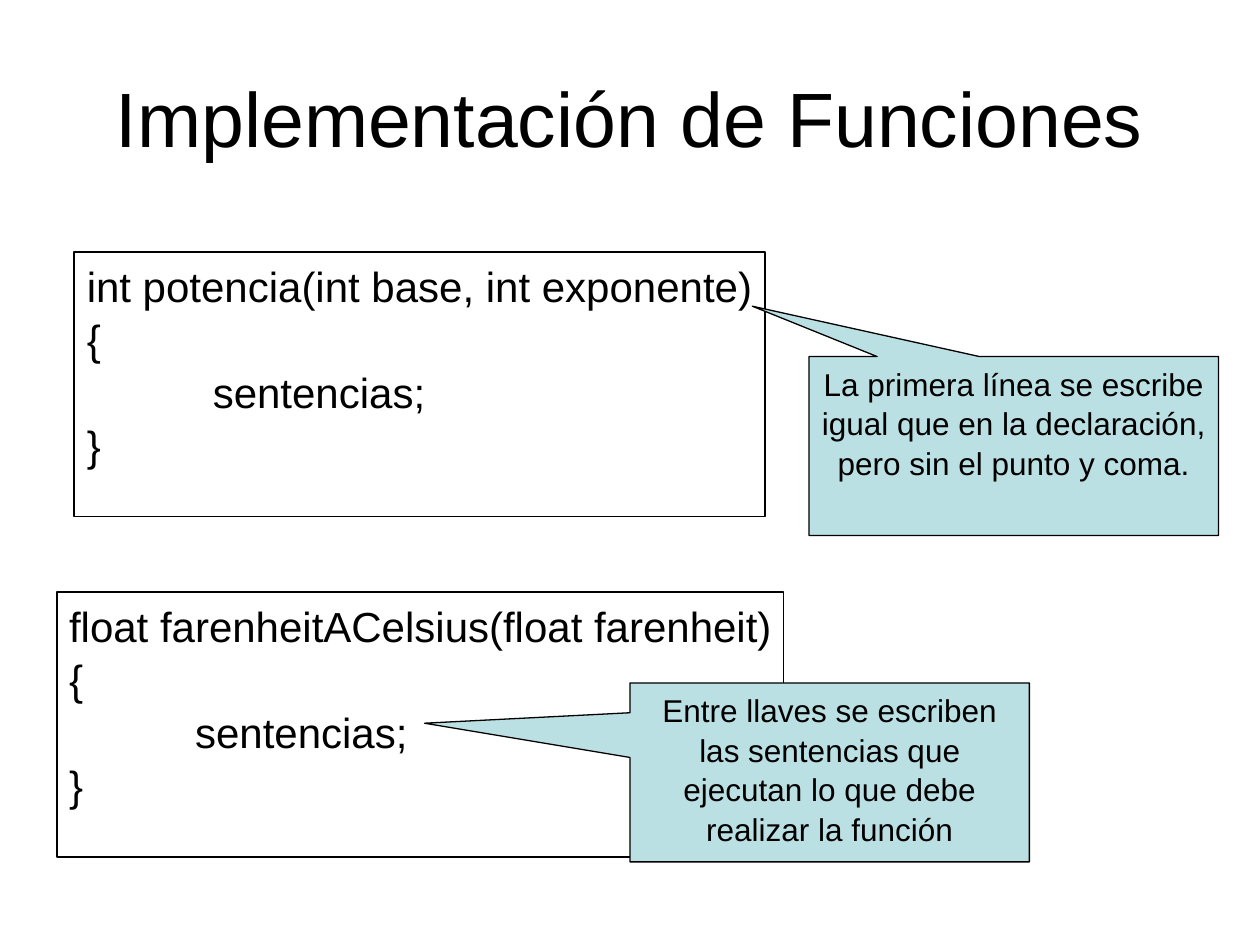
from lxml import etree
from pptx import Presentation
from pptx.dml.color import RGBColor
from pptx.enum import shapes, text
from pptx.oxml import ns
from pptx.util import Inches, Pt

COLORS = {"ink": "000000", "callout": "BBE0E3"}
FONT = "Arial"


def color(name):
    return RGBColor.from_string(COLORS[name])


def add_run(paragraph, wording, size):
    run = paragraph.add_run()
    run.text = wording
    run.font.name = FONT
    run.font.size = Pt(size)
    run.font.color.rgb = color("ink")


def add_tab_stop(paragraph, position):
    properties = paragraph._p.get_or_add_pPr()
    tabs = etree.SubElement(properties, ns.qn("a:tabLst"))
    etree.SubElement(tabs, ns.qn("a:tab"), pos=str(position), algn="l")


def add_box(slide, kind, box, line_width):
    """Add an outlined shape with top-anchored text."""
    shape = slide.shapes.add_shape(kind, *map(Inches, box))
    shape.shadow.inherit = False
    shape.line.color.rgb = color("ink")
    shape.line.width = Pt(line_width)
    shape.text_frame.vertical_anchor = text.MSO_ANCHOR.TOP
    return shape


def add_title(slide, box, wording):
    title = slide.shapes.title
    title.left, title.top, title.width, title.height = map(Inches, box)
    title.text_frame.vertical_anchor = text.MSO_ANCHOR.MIDDLE
    paragraph = title.text_frame.paragraphs[0]
    paragraph.alignment = text.PP_ALIGN.CENTER
    add_run(paragraph, wording, 44)


def add_code(slide, box, signature):
    shape = add_box(slide, shapes.MSO_SHAPE.RECTANGLE, box, 1)
    shape.fill.background()
    frame = shape.text_frame
    frame.word_wrap = False
    for index, line in enumerate((signature, "{", "\tsentencias;", "}")):
        paragraph = frame.add_paragraph() if index else frame.paragraphs[0]
        paragraph.alignment = text.PP_ALIGN.LEFT
        paragraph.line_spacing = 1.05
        add_tab_stop(paragraph, Inches(1))
        add_run(paragraph, line, 24)


def add_callout(slide, box, pointer, wording):
    shape = add_box(slide, shapes.MSO_SHAPE.RECTANGULAR_CALLOUT, box, 0.75)
    shape.fill.solid()
    shape.fill.fore_color.rgb = color("callout")
    # The pointer tip is measured from the centre, as a share of the box size
    left, top, width, height = box
    shape.adjustments[0] = (pointer[0] - left) / width - 0.5
    shape.adjustments[1] = (pointer[1] - top) / height - 0.5
    shape.text_frame.word_wrap = True
    paragraph = shape.text_frame.paragraphs[0]
    paragraph.alignment = text.PP_ALIGN.CENTER
    paragraph.line_spacing = 1.05
    add_run(paragraph, wording, 18)


def main():
    presentation = Presentation()
    presentation.slide_width = Inches(10)
    presentation.slide_height = Inches(7.5)
    slide = presentation.slides.add_slide(presentation.slide_layouts[5])

    # Title
    add_title(slide, (0.5, 0.3, 9, 1.25), "Implementación de Funciones")

    # Function bodies
    add_code(slide, (0.59, 2, 5.48, 2.1), "int potencia(int base, int exponente)")
    add_code(slide, (0.45, 4.7, 5.77, 2.1), "float farenheitACelsius(float farenheit)")

    # Explanations
    add_callout(slide, (6.42, 2.83, 3.25, 1.42), (5.97, 2.43),
                "La primera línea se escribe igual que en la declaración, "
                "pero sin el punto y coma.")
    add_callout(slide, (5, 5.42, 3.17, 1.42), (3.37, 5.74),
                "Entre llaves se escriben las sentencias que ejecutan "
                "lo que debe realizar la función")

    presentation.save("out.pptx")


if __name__ == "__main__":
    main()
